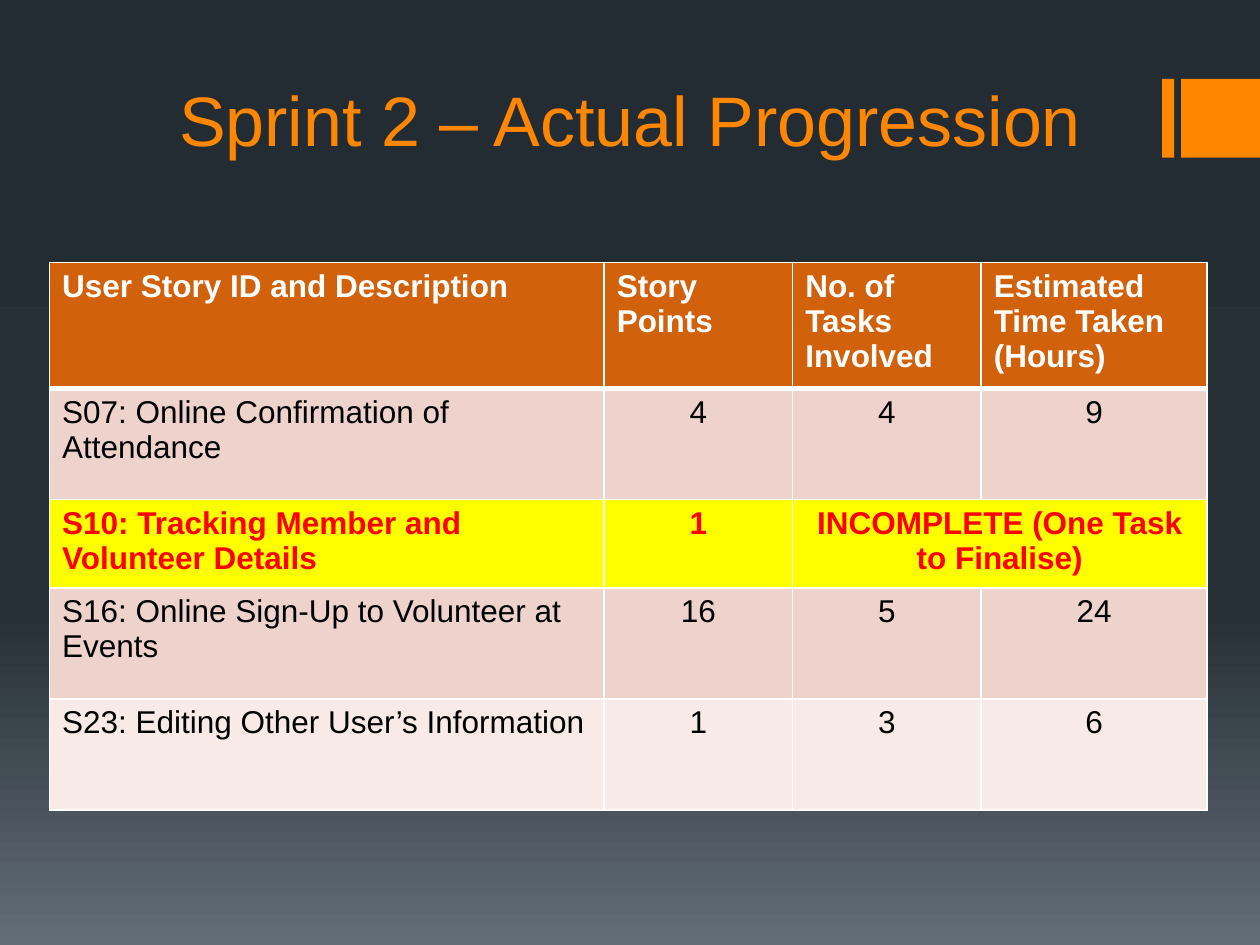
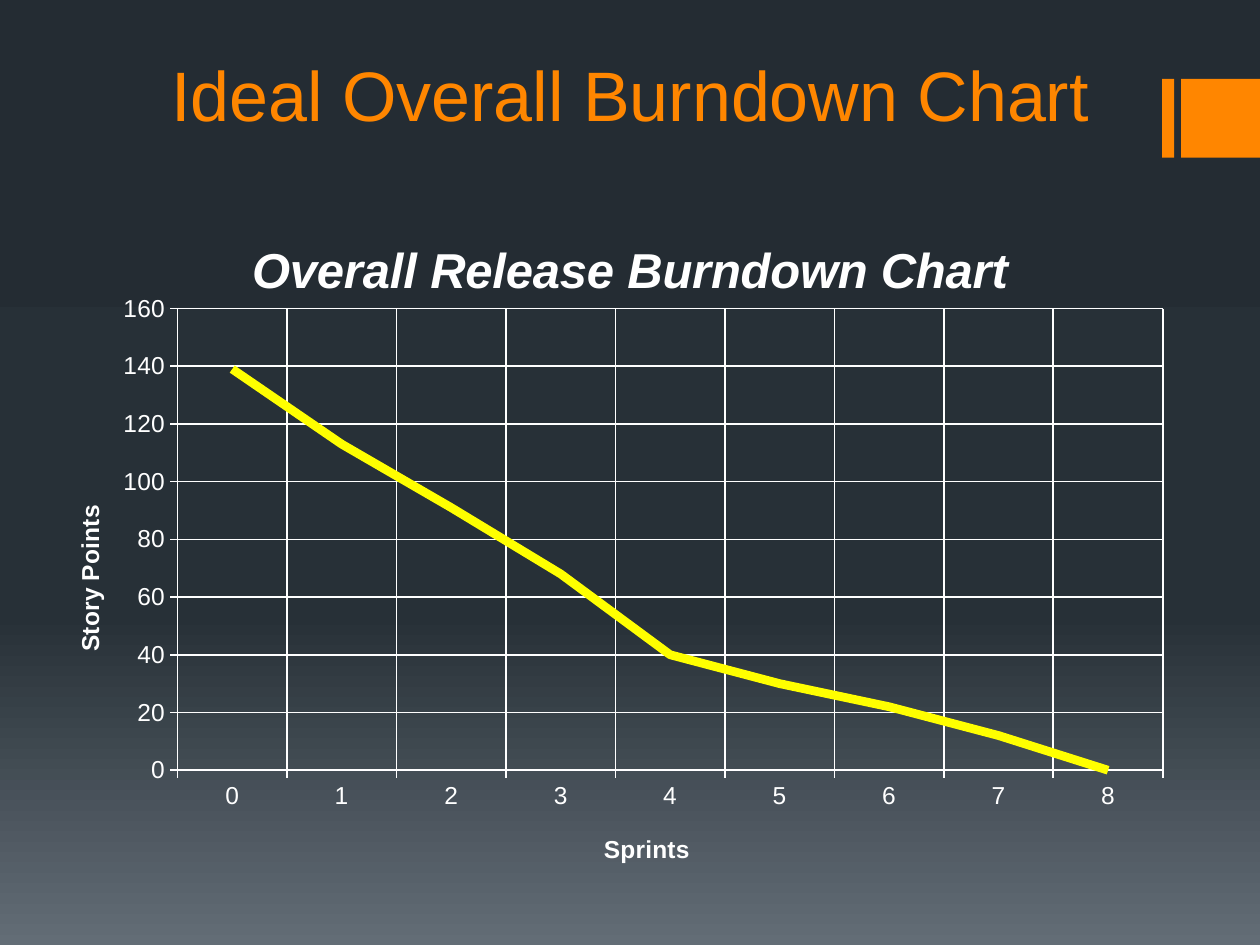
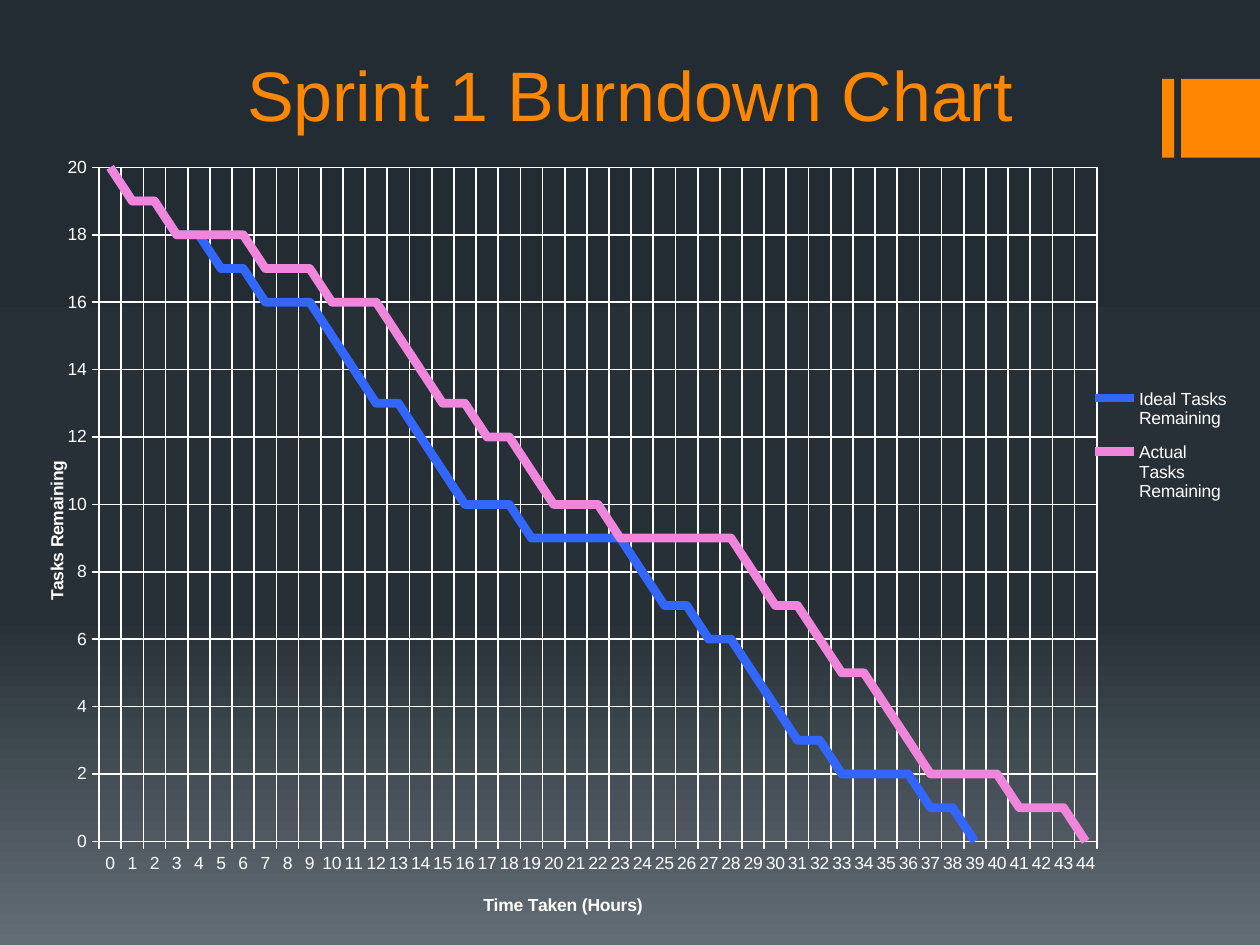
from pptx import Presentation
from pptx.chart.data import CategoryChartData
from pptx.dml.color import RGBColor
from pptx.enum.chart import XL_CHART_TYPE, XL_LEGEND_POSITION, XL_TICK_MARK
from pptx.enum.shapes import MSO_SHAPE
from pptx.enum.text import MSO_ANCHOR, PP_ALIGN
from pptx.oxml import parse_xml
from pptx.oxml.ns import nsdecls, qn
from pptx.util import Cm, Pt

ORANGE = RGBColor(0xFF, 0x86, 0x00)
RUST = RGBColor(0xD2, 0x61, 0x0C)
ROSE = RGBColor(0xEE, 0xD2, 0xCC)
BLUSH = RGBColor(0xF7, 0xEA, 0xE7)
YELLOW = RGBColor(0xFF, 0xFF, 0x00)
RED = RGBColor(0xFF, 0x00, 0x00)
BLUE = RGBColor(0x33, 0x66, 0xFF)
PINK = RGBColor(0xEF, 0x86, 0xDB)
WHITE = RGBColor(0xFF, 0xFF, 0xFF)
BLACK = RGBColor(0x00, 0x00, 0x00)
NIGHT = RGBColor(0x24, 0x2C, 0x33)
SLATE = RGBColor(0x27, 0x30, 0x37)
STEEL = RGBColor(0x63, 0x6D, 0x76)


def put(obj, vals):
    for key, val in vals.items():
        setattr(obj, key, val)


def ink(font, size, color, bold=False, italic=False):
    put(font, {"name": "Arial", "size": Pt(size), "bold": bold, "italic": italic})
    font.color.rgb = color


deck = Presentation()
put(deck, {"slide_width": Cm(25.4), "slide_height": Cm(19.05)})

fill = deck.slide_master.background.fill
fill.gradient()
fill.gradient_angle = 270
stops = fill._fill._gradFill.find(qn("a:gsLst"))
for stop in list(stops):
    stops.remove(stop)
for pos, color in ((0, NIGHT), (65, SLATE), (100, STEEL)):
    stops.append(parse_xml(
        f'<a:gs {nsdecls("a")} pos="{pos * 1000}"><a:srgbClr val="{color}"/></a:gs>'))

slides = []
for text, top in (("Sprint 2 – Actual Progression", 1.3),
                  ("Ideal Overall Burndown Chart", 0.79),
                  ("Sprint 1 Burndown Chart", 0.79)):
    slide = deck.slides.add_slide(deck.slide_layouts[6])
    for left, width in ((23.43, 0.24), (23.81, 1.59)):
        bar = slide.shapes.add_shape(
            MSO_SHAPE.RECTANGLE, Cm(left), Cm(1.59), Cm(width), Cm(1.59))
        bar.shadow.inherit = False
        bar.fill.solid()
        bar.fill.fore_color.rgb = ORANGE
        bar.line.fill.background()
    box = slide.shapes.add_textbox(Cm(2.54), Cm(top), Cm(20.32), Cm(2.06))
    put(box.text_frame, {"word_wrap": True, "vertical_anchor": MSO_ANCHOR.BOTTOM})
    para = box.text_frame.paragraphs[0]
    put(para, {"text": text, "alignment": PP_ALIGN.CENTER})
    ink(para.runs[0].font, 40, ORANGE)
    slides.append(slide)

rows = [
    (2.38, RUST, WHITE, True, ("User Story ID and Description", "Story Points",
     "No. of Tasks Involved", "Estimated Time Taken (Hours)")),
    (2.24, ROSE, BLACK, False,
     ("S07: Online Confirmation of Attendance", "4", "4", "9")),
    (1.68, YELLOW, RED, True, ("S10: Tracking Member and Volunteer Details", "1",
     "INCOMPLETE (One Task to Finalise)", "")),
    (2.24, ROSE, BLACK, False,
     ("S16: Online Sign-Up to Volunteer at Events", "16", "5", "24")),
    (2.24, BLUSH, BLACK, False,
     ("S23: Editing Other User’s Information", "1", "3", "6")),
]
cols = (11.18, 3.8, 3.8, 4.55)
grid = slides[0].shapes.add_table(
    len(rows), len(cols), Cm(1), Cm(5.29), Cm(sum(cols)),
    Cm(sum(row[0] for row in rows))).table
for col, width in zip(grid.columns, cols):
    col.width = Cm(width)
for i, (height, back, color, bold, texts) in enumerate(rows):
    grid.rows[i].height = Cm(height)
    for j, text in enumerate(texts):
        cell = grid.cell(i, j)
        props = cell._tc.get_or_add_tcPr()
        for side in "LRTB":
            wide = 3 if (i, side) in ((0, "B"), (1, "T")) else 1
            props.append(parse_xml(
                f'<a:ln{side} {nsdecls("a")} w="{Pt(wide)}"><a:solidFill>'
                f'<a:srgbClr val="{WHITE}"/></a:solidFill></a:ln{side}>'))
        cell.fill.solid()
        cell.fill.fore_color.rgb = back
        if text:
            para = cell.text_frame.paragraphs[0]
            put(para, {"text": text,
                       "alignment": PP_ALIGN.CENTER if i and j else PP_ALIGN.LEFT})
            ink(para.runs[0].font, 18, color, bold)
grid.cell(2, 2).merge(grid.cell(2, 3))

ideal = [20, 19, 19, 18, 18, 17, 17, 16, 16, 16, 15, 14, 13, 13, 12, 11, 10, 10,
         10, 9, 9, 9, 9, 9, 8, 7, 7, 6, 6, 5, 4, 3, 3, 2, 2, 2, 2, 1, 1, 0] + [None] * 5
actual = [20, 19, 19, 18, 18, 18, 18, 17, 17, 17, 16, 16, 16, 15, 14, 13, 13, 12,
          12, 11, 10, 10, 10, 9, 9, 9, 9, 9, 9, 8, 7, 7, 6, 5, 5, 4, 3, 2, 2, 2, 2,
          1, 1, 1, 0]
charts = [
    {"at": (0, 4.17, 25.02, 13.67), "size": 14, "top": 160, "step": 20,
     "title": "Overall Release Burndown Chart",
     "names": (("Sprints", (0.483, 0.918)), ("Story Points", (0.056, 0.433))),
     "plot": (0.143, 0.15, 0.794, 0.681),
     "lines": [("Series 1", [139, 113, 91, 68, 40, 30, 22, 12, 0], YELLOW)]},
    {"at": (0.56, 2.87, 24.38, 15.8), "size": 10, "top": 20, "step": 2,
     "title": None,
     "names": (("Time Taken (Hours)", (0.374, 0.955)),
               ("Tasks Remaining", (0.012, 0.402))),
     "plot": (0.059, 0.032, 0.825, 0.86),
     "lines": [("Ideal Tasks Remaining", ideal, BLUE),
               ("Actual Tasks Remaining", actual, PINK)]},
]
for slide, item in zip(slides[1:], charts):
    data = CategoryChartData()
    data.categories = range(len(item["lines"][0][1]))
    for name, vals, color in item["lines"]:
        data.add_series(name, vals)
    chart = slide.shapes.add_chart(
        XL_CHART_TYPE.LINE, *[Cm(n) for n in item["at"]], data).chart
    ink(chart.font, item["size"], WHITE)
    spots = [(chart._chartSpace.chart.plotArea, 0, item["plot"])]

    chart.has_title = bool(item["title"])
    if item["title"]:
        para = chart.chart_title.text_frame.paragraphs[0]
        para.text = item["title"]
        ink(para.runs[0].font, 28, WHITE, True, True)
        spots.append((chart.chart_title._element, 1, (0.196, 0.035)))
    chart.has_legend = len(item["lines"]) > 1
    if chart.has_legend:
        put(chart.legend, {"position": XL_LEGEND_POSITION.RIGHT,
                           "include_in_layout": False})
        ink(chart.legend.font, item["size"], WHITE)
        spots.append((chart.legend._element, 1, (0.887, 0.297, 0.113, 0.18)))

    put(chart.value_axis, {"minimum_scale": 0, "maximum_scale": item["top"],
                           "major_unit": item["step"]})
    for axis, (name, spot), turn in zip((chart.category_axis, chart.value_axis),
                                        item["names"], (0, -5400000)):
        put(axis, {"has_major_gridlines": True,
                   "major_tick_mark": XL_TICK_MARK.OUTSIDE,
                   "minor_tick_mark": XL_TICK_MARK.NONE})
        for line in (axis.format.line, axis.major_gridlines.format.line):
            line.color.rgb = WHITE
            line.width = Pt(1)
        ink(axis.tick_labels.font, item["size"], WHITE)
        frame = axis.axis_title.text_frame
        frame._txBody.bodyPr.set("rot", str(turn))
        para = frame.paragraphs[0]
        para.text = name
        ink(para.runs[0].font, item["size"], WHITE, True)
        spots.append((axis.axis_title._element, 1, spot))

    chart.plots[0].vary_by_categories = False
    for line, (name, vals, color) in zip(chart.plots[0].series, item["lines"]):
        line.smooth = False
        line.format.line.color.rgb = color
        line.format.line.width = Pt(5)

    for part, place, spot in spots:
        for old in part.findall(qn("c:layout")):
            part.remove(old)
        inner = "" if place else '<c:layoutTarget val="inner"/>'
        sizes = "".join(f'<c:{tag} val="{val}"/>' for tag, val in zip("xywh", spot))
        part.insert(place, parse_xml(
            f'<c:layout {nsdecls("c")}><c:manualLayout>{inner}<c:xMode val="edge"/>'
            f'<c:yMode val="edge"/>{sizes}</c:manualLayout></c:layout>'))

deck.save("out.pptx")
